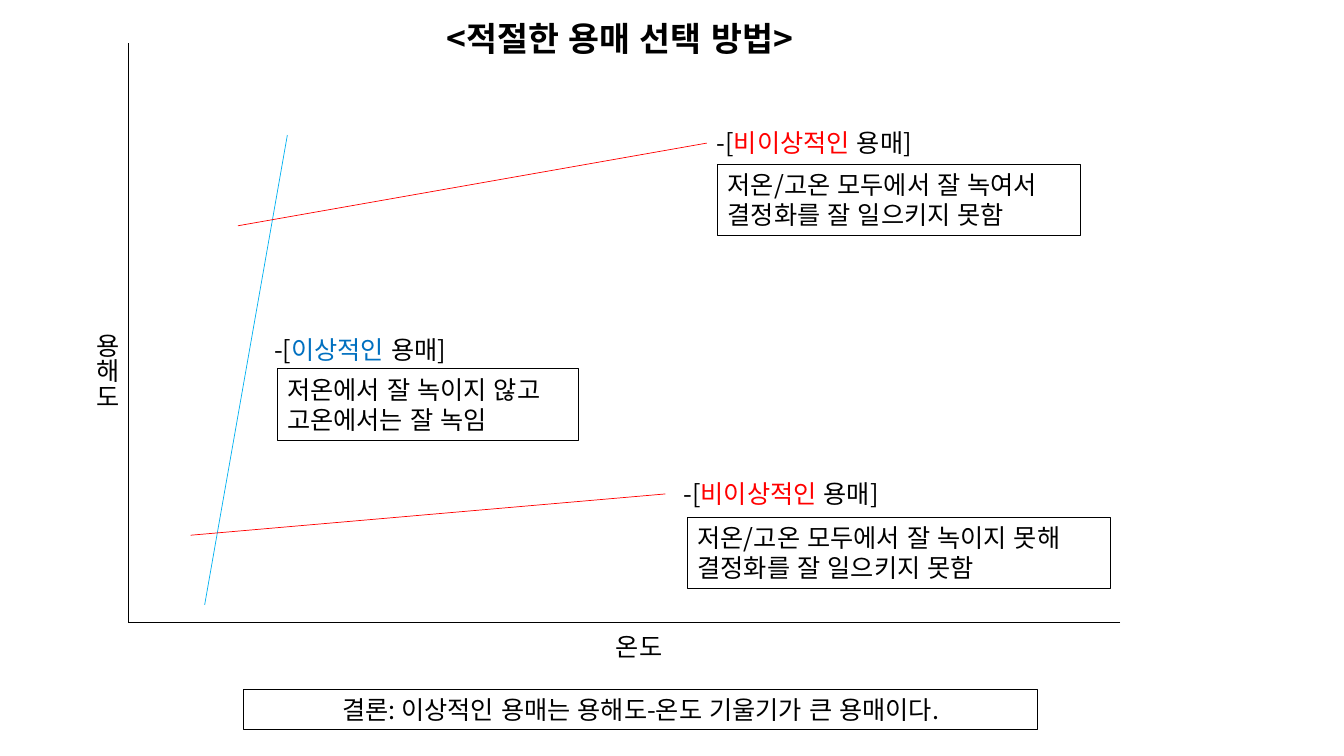
"""Build the slide on how to choose a suitable solvent."""
from dataclasses import dataclass

from lxml import etree
from pptx import Presentation
from pptx.dml.color import RGBColor
from pptx.enum.lang import MSO_LANGUAGE_ID
from pptx.enum.shapes import MSO_CONNECTOR, MSO_SHAPE
from pptx.enum.text import MSO_ANCHOR, MSO_AUTO_SIZE, PP_ALIGN
from pptx.oxml.ns import qn
from pptx.util import Inches, Pt

STRAIGHT = MSO_CONNECTOR.STRAIGHT
RECT = MSO_SHAPE.RECTANGLE
TOP = MSO_ANCHOR.TOP
GROW = MSO_AUTO_SIZE.SHAPE_TO_FIT_TEXT
LEFT, CENTER = PP_ALIGN.LEFT, PP_ALIGN.CENTER
KOREAN = MSO_LANGUAGE_ID.KOREAN

BLACK = RGBColor(0, 0, 0)
RED = RGBColor(0xFF, 0, 0)
BLUE = RGBColor(0, 0x70, 0xC0)
SKY = RGBColor(0, 0xB0, 0xF0)
FONT = "Noto Sans CJK KR"


@dataclass(frozen=True)
class Area:
    """Place and size in inches."""
    left: float
    top: float
    width: float
    height: float


@dataclass(frozen=True)
class Line:
    """Straight line between two points, in inches."""
    start: tuple[float, float]
    end: tuple[float, float]
    color: RGBColor


@dataclass(frozen=True)
class Run:
    """Piece of text in one colour."""
    text: str
    color: RGBColor = BLACK


@dataclass(frozen=True)
class Solvent:
    """Solvent heading with its boxed description."""
    name: Run
    head: Area
    box: Area
    notes: tuple[str, str]


ORIGIN = (1.27, 6.17)
LINES = (
    Line((1.27, 0.43), ORIGIN, BLACK),
    Line((11.11, 6.17), ORIGIN, BLACK),
    Line((2.85, 1.34), (2.03, 6), SKY),
    Line((7.01, 1.42), (2.36, 2.24), RED),
    Line((6.6, 4.9), (1.89, 5.31), RED),
)
IDEAL = Run("이상적인", BLUE)
POOR = Run("비이상적인", RED)
FAIL = "결정화를 잘 일으키지 못함"
SOLVENTS = (
    Solvent(IDEAL, Area(2.62, 3.27, 2.94, 0.4), Area(2.75, 3.66, 2.99, 0.71),
            ("저온에서 잘 녹이지 않고", "고온에서는 잘 녹임")),
    Solvent(POOR, Area(7.01, 1.21, 2.63, 0.4), Area(7.12, 1.63, 3.6, 0.71),
            ("저온/고온 모두에서 잘 녹여서", FAIL)),
    Solvent(POOR, Area(6.68, 4.7, 2.98, 0.4), Area(6.82, 5.13, 4.19, 0.71),
            ("저온/고온 모두에서 잘 녹이지 못해", FAIL)),
)


def place(area: Area) -> tuple:
    """Return the area as lengths."""
    return (Inches(area.left), Inches(area.top),
            Inches(area.width), Inches(area.height))


def write(shape, rows, size: int = 18, bold: bool = False, align=LEFT) -> None:
    """Fill a shape with rows of runs."""
    frame = shape.text_frame
    frame.word_wrap = True
    frame.auto_size = GROW
    frame.vertical_anchor = TOP
    for i, row in enumerate(rows):
        para = frame.add_paragraph() if i else frame.paragraphs[0]
        para.alignment = align
        for part in row:
            run = para.add_run()
            run.text = part.text
            font = run.font
            font.name, font.size, font.bold = FONT, Pt(size), bold
            font.language_id = KOREAN
            font.color.rgb = part.color
            latin = font._element.find(qn("a:latin"))
            east = etree.Element(qn("a:ea"), typeface=FONT)
            latin.addnext(east)


def draw_line(shapes, line: Line) -> None:
    """Draw one thin line."""
    ends = (Inches(n) for n in line.start + line.end)
    item = shapes.add_connector(STRAIGHT, *ends)
    item.line.color.rgb = line.color
    item.line.width = Pt(0.5)
    etree.SubElement(item.element.spPr, qn("a:effectLst"))


def draw_text(shapes, area: Area, runs: tuple[Run, ...]):
    """Add a one-row text box."""
    item = shapes.add_textbox(*place(area))
    write(item, [runs])
    return item


def draw_box(shapes, area: Area, texts: tuple[str, ...], align=LEFT) -> None:
    """Add an outlined box of black text."""
    item = shapes.add_shape(RECT, *place(area))
    item.shadow.inherit = False
    item.fill.background()
    item.line.color.rgb = BLACK
    item.line.width = Pt(0.75)
    write(item, [(Run(text),) for text in texts], align=align)


def main() -> None:
    """Build and save the slide."""
    deck = Presentation()
    deck.slide_width, deck.slide_height = Inches(13.33), Inches(7.5)
    shapes = deck.slides.add_slide(deck.slide_layouts[5]).shapes

    title = shapes.title
    title.left, title.top, title.width, title.height = place(
        Area(4.33, 0.13, 4.06, 0.5))
    write(title, [(Run("<적절한 용매 선택 방법>"),)], size=24, bold=True)

    for line in LINES:
        draw_line(shapes, line)

    label = draw_text(shapes, Area(0.76, 3.21, 0.5, 0.91), (Run("용해도"),))
    label.text_frame.word_wrap = False
    label.text_frame._txBody.bodyPr.set("vert", "eaVert")
    draw_text(shapes, Area(6.01, 6.21, 0.71, 0.4), (Run("온도"),))

    for item in SOLVENTS:
        draw_text(shapes, item.head, (Run("-["), item.name, Run(" 용매]")))
        draw_box(shapes, item.box, item.notes)

    draw_box(shapes, Area(2.42, 6.84, 7.87, 0.4),
             ("결론: 이상적인 용매는 용해도-온도 기울기가 큰 용매이다.",), CENTER)
    deck.save("out.pptx")


main()
